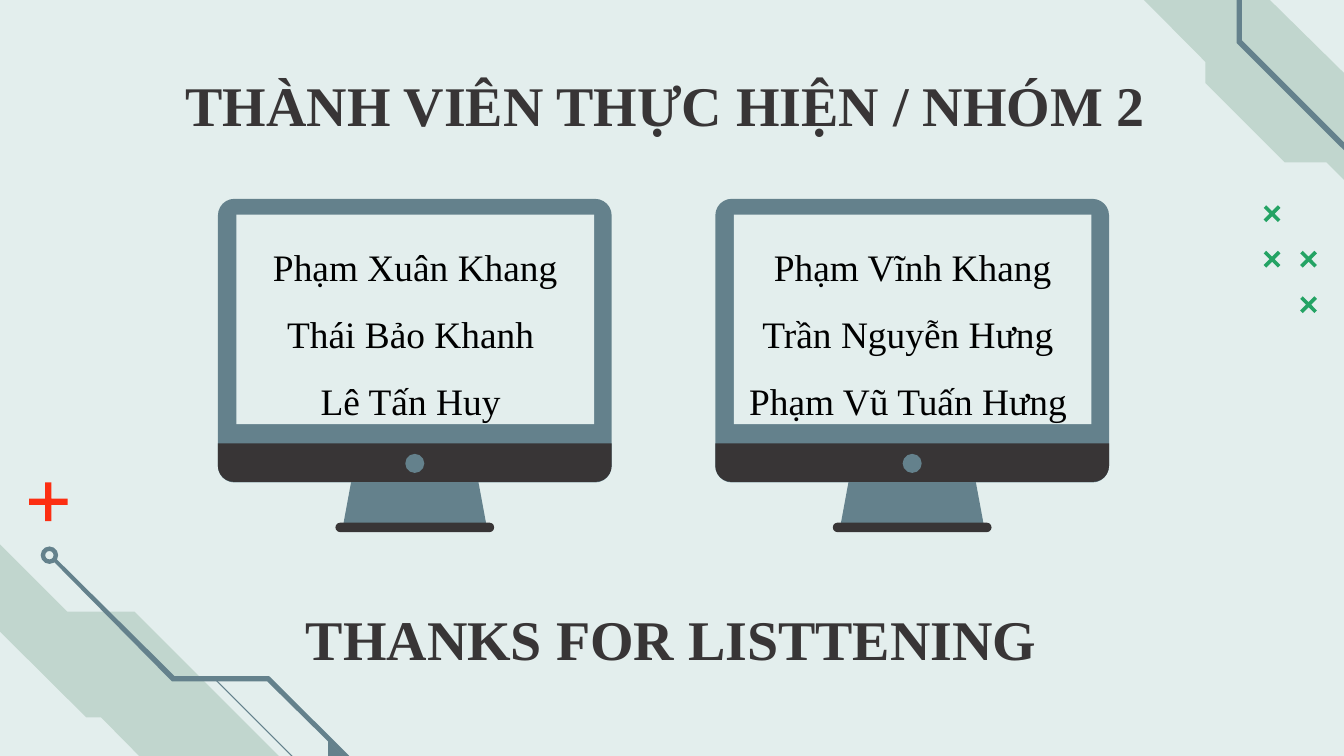
"""Builds the closing slide: group members on two monitors, with circuit ornaments."""
from pptx import Presentation
from pptx.dml.color import RGBColor
from pptx.enum.shapes import MSO_SHAPE
from pptx.enum.text import MSO_ANCHOR, PP_ALIGN
from pptx.util import Cm, Pt

CROSS, DONUT, OVAL = MSO_SHAPE.CROSS, MSO_SHAPE.DONUT, MSO_SHAPE.OVAL
RECT, ROUNDED = MSO_SHAPE.RECTANGLE, MSO_SHAPE.ROUNDED_RECTANGLE
ROUND_SIDE, TRAPEZOID = MSO_SHAPE.ROUND_2_SAME_RECTANGLE, MSO_SHAPE.TRAPEZOID
TOP, MIDDLE, CENTER = MSO_ANCHOR.TOP, MSO_ANCHOR.MIDDLE, PP_ALIGN.CENTER

COLORS = {
    "paper": "E3EEED", "band": "C1D6CE", "steel": "64818C", "dark": "383536",
    "red": "FC2E12", "green": "24A364", "black": "000000",
}
FONT = "Times New Roman"
WIDTH, HEIGHT = 25.4, 14.29


class SlideBuilder:
    """Holds the style and the current slide; all lengths are in centimetres."""

    def __init__(self, slide):
        self.slide = slide
        self.paint(slide.background.fill, "paper")

    def paint(self, fill, color):
        fill.solid()
        fill.fore_color.rgb = RGBColor.from_string(COLORS[color])

    def finish(self, shape, color):
        self.paint(shape.fill, color)
        shape.line.fill.background()
        shape.shadow.inherit = False
        return shape

    def outline(self, points, color):
        corners = [(Cm(x), Cm(y)) for x, y in points]
        builder = self.slide.shapes.build_freeform(*corners[0])
        builder.add_line_segments(corners[1:], close=True)
        return self.finish(builder.convert_to_shape(), color)

    def preset(self, kind, left, top, width, height, color, adjust=()):
        shape = self.slide.shapes.add_shape(kind, Cm(left), Cm(top), Cm(width), Cm(height))
        for index, value in enumerate(adjust):
            shape.adjustments[index] = value
        return self.finish(shape, color)

    def add_lines(self, frame, lines, size, color, bold=False, spacing=1.0, anchor=TOP):
        frame.word_wrap = True
        frame.vertical_anchor = anchor
        for index, line in enumerate(lines):
            paragraph = frame.add_paragraph() if index else frame.paragraphs[0]
            paragraph.text = line
            paragraph.alignment = CENTER
            paragraph.line_spacing = spacing
            paragraph.font.name = FONT
            paragraph.font.size = Pt(size)
            paragraph.font.bold = bold
            paragraph.font.color.rgb = RGBColor.from_string(COLORS[color])

    def heading(self, left, top, width, height, wording, anchor):
        box = self.slide.shapes.add_textbox(Cm(left), Cm(top), Cm(width), Cm(height))
        frame = box.text_frame
        frame.margin_left = frame.margin_right = Cm(0.25)
        frame.margin_top = frame.margin_bottom = Cm(0.25)
        self.add_lines(frame, [wording], 30, "dark", bold=True, anchor=anchor)

    def monitor(self, left, members):
        self.preset(TRAPEZOID, left + 2.36, 8.99, 2.72, 0.97, "steel", [0.185])
        self.preset(ROUNDED, left, 3.76, 7.44, 5.36, "steel", [0.058])
        self.preset(ROUND_SIDE, left, 8.38, 7.44, 0.73, "dark", [0, 0.416])
        self.preset(OVAL, left + 3.54, 8.58, 0.36, 0.36, "steel")
        self.preset(ROUNDED, left + 2.22, 9.88, 3, 0.18, "dark", [0.5])
        screen = self.preset(RECT, left + 0.35, 4.06, 6.76, 3.96, "paper")
        self.add_lines(screen.text_frame, members, 20, "black", spacing=1.5)


def draw_left_corner(builder):
    builder.outline([(0, 10.29), (1.27, 11.56), (2.54, 11.56), (5.27, HEIGHT),
                     (2.63, HEIGHT), (1.91, 13.56), (1.63, 13.56), (0, 11.94)], "band")
    builder.preset(CROSS, 0.55, 9.12, 0.73, 0.73, "red", [0.42])
    builder.outline([(6.2, 14), (6.49, HEIGHT), (6.2, HEIGHT)], "steel")
    builder.preset(DONUT, 0.77, 10.33, 0.33, 0.33, "steel", [0.26])
    builder.outline([(1.04, 10.54), (3.3, 12.78), (5.08, 12.78), (5.11, 12.8),
                     (6.6, HEIGHT), (6.48, HEIGHT), (5.05, 12.88), (3.25, 12.88),
                     (0.99, 10.59)], "steel")
    builder.outline([(4.04, 12.8), (5.53, HEIGHT), (5.5, HEIGHT), (4.04, 12.83)], "steel")


def draw_right_corner(builder):
    builder.outline([(21.62, 0), (24, 0), (WIDTH, 1.38), (WIDTH, 3.4), (25.07, 3.07),
                     (24.28, 3.07), (22.78, 1.57), (22.78, 1.17)], "band")
    for column, row in [(0, 0), (0, 1), (1, 1), (1, 2)]:
        mark = builder.preset(CROSS, 23.85 + 0.69 * column, 3.85 + 0.86 * row,
                              0.38, 0.38, "green", [0.41])
        mark.rotation = 45
    builder.outline([(23.37, 0), (23.47, 0), (23.47, 0.76), (WIDTH, 2.69),
                     (WIDTH, 2.84), (23.37, 0.81)], "steel")


def main():
    deck = Presentation()
    deck.slide_width, deck.slide_height = Cm(WIDTH), Cm(HEIGHT)
    builder = SlideBuilder(deck.slides.add_slide(deck.slide_layouts[6]))
    draw_left_corner(builder)
    draw_right_corner(builder)
    builder.heading(2.01, 1.09, 21.41, 1.65, "THÀNH VIÊN THỰC HIỆN / NHÓM 2 ", TOP)
    teams = [
        ["Phạm Xuân Khang", "Thái Bảo Khanh ", "Lê Tấn Huy "],
        ["Phạm Vĩnh Khang", "Trần Nguyễn Hưng ", "Phạm Vũ Tuấn Hưng "],
    ]
    for position, members in enumerate(teams):
        builder.monitor(4.12 + 9.4 * position, members)
    builder.heading(4.98, 10.72, 15.42, 2.69, "THANKS FOR LISTTENING", MIDDLE)
    deck.save("out.pptx")


if __name__ == "__main__":
    main()
